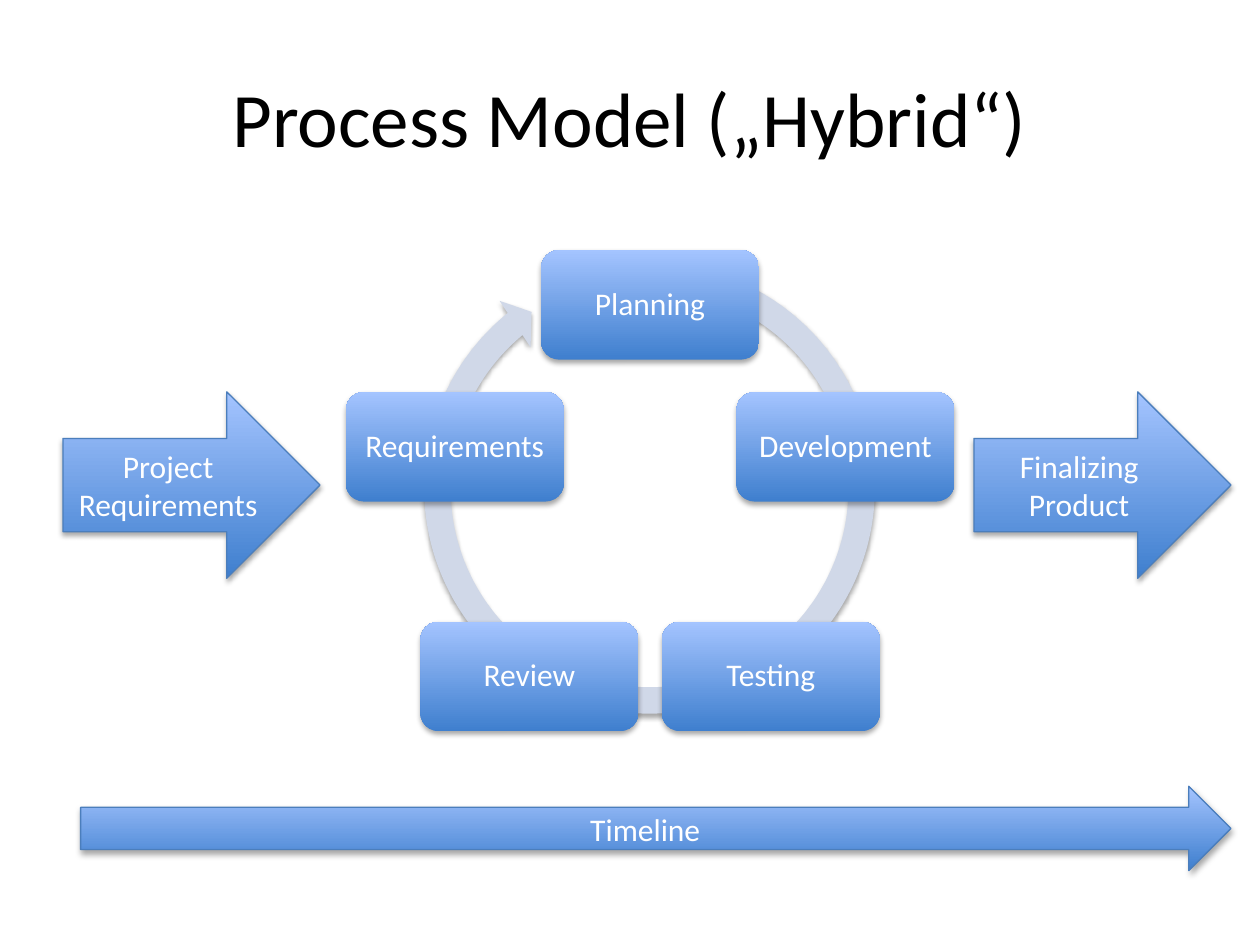
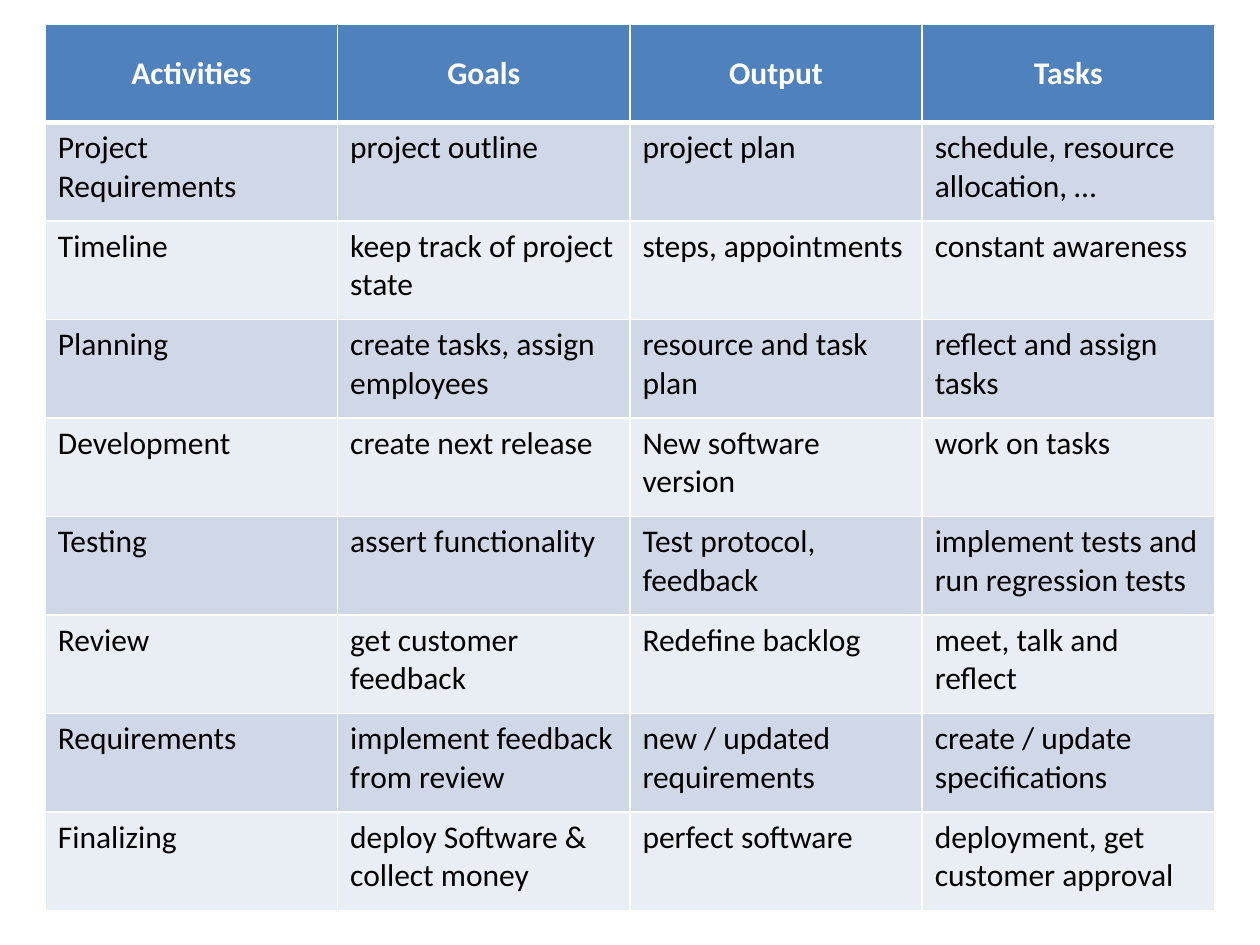
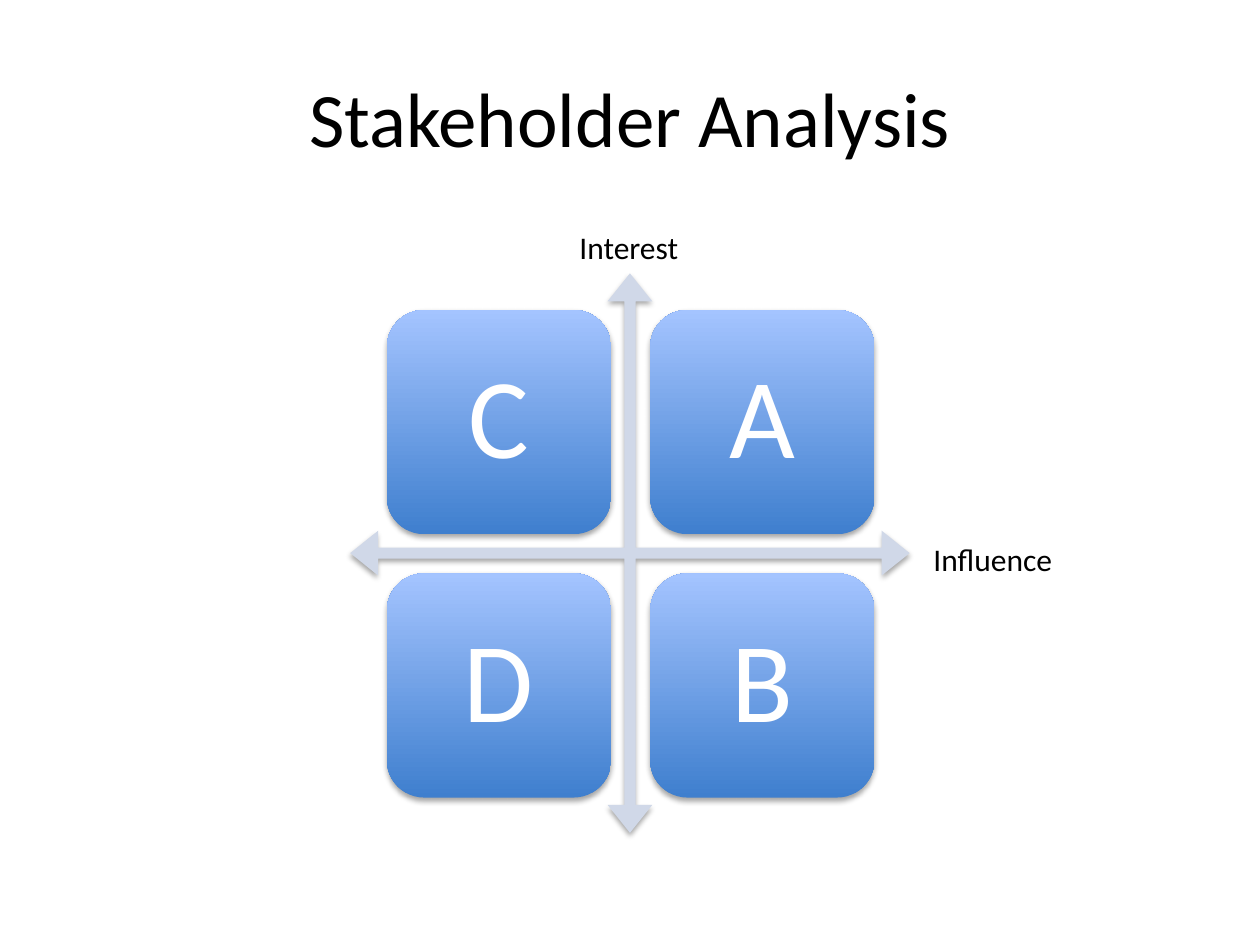
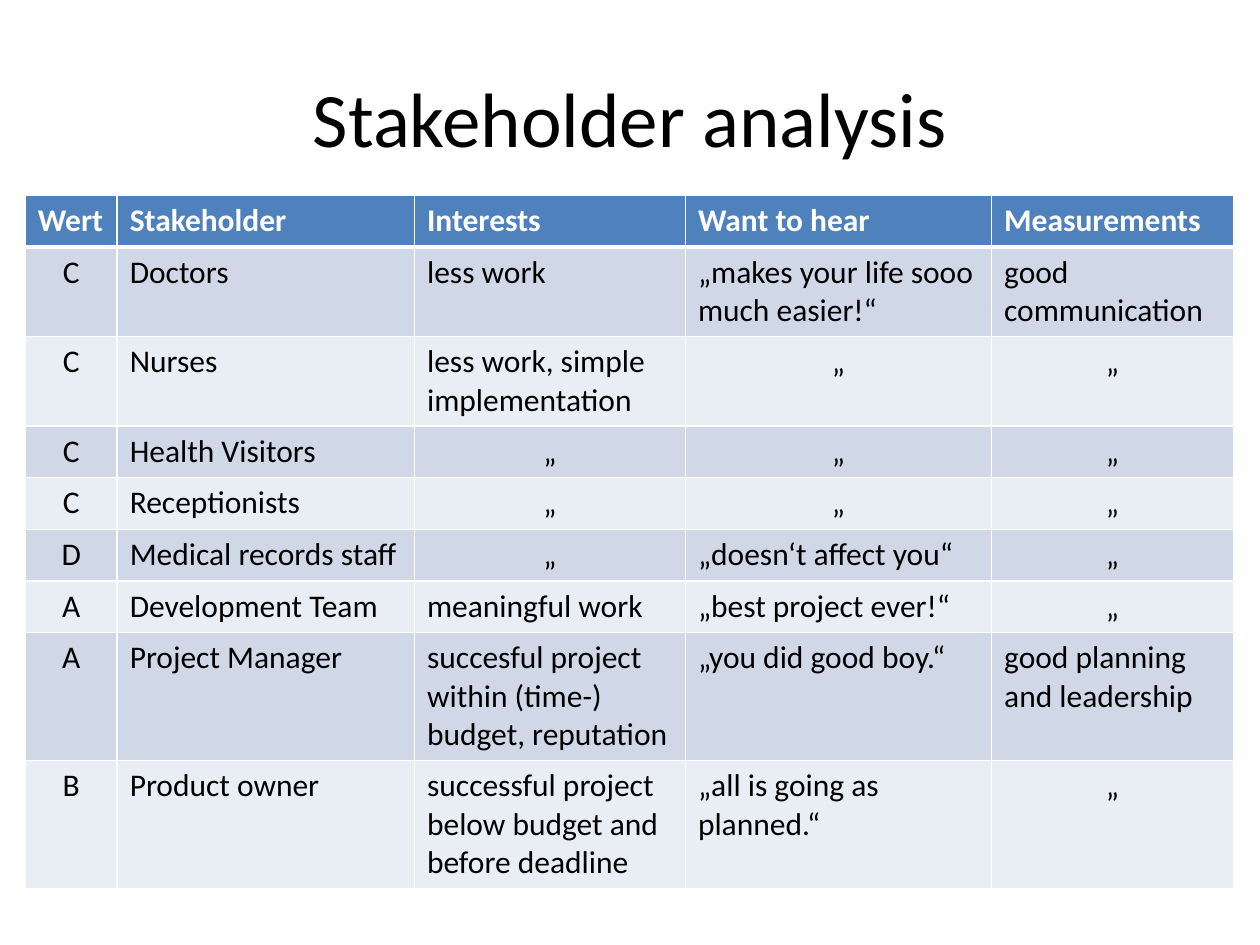
import math

import lxml.etree
import pptx
import pptx.dml.color
import pptx.enum.shapes
import pptx.enum.text
import pptx.oxml
import pptx.oxml.ns
import pptx.util

Inches, Pt = pptx.util.Inches, pptx.util.Pt
RGB = pptx.dml.color.RGBColor.from_string
SHAPE = pptx.enum.shapes.MSO_SHAPE
ALIGN = pptx.enum.text.PP_ALIGN
MIDDLE = pptx.enum.text.MSO_ANCHOR.MIDDLE
TOP = pptx.enum.text.MSO_ANCHOR.TOP
qn = pptx.oxml.ns.qn

THEME = {
    "font": "Calibri",
    "ink": "000000",
    "white": "FFFFFF",
    "outline": "4B7EBC",
    "header": "4F81BD",
    "pale": "D0D8E8",
    "bands": ("D0D8E8", "E9EDF4"),
    "gradient": ("3F7FCE", "A4C4FF"),
    "title_size": 44,
    "letter_size": 65,
    "text_size": 18,
}
SHADOW = (
    f'<a:outerShdw {pptx.oxml.ns.nsdecls("a")} blurRad="{Pt(3.1)}" dist="{Pt(1.8)}" '
    'dir="5400000" rotWithShape="0"><a:srgbClr val="000000"><a:alpha val="35000"/>'
    "</a:srgbClr></a:outerShdw>"
)


def write(frame, text, color, size=THEME["text_size"], bold=False, **paragraph_format):
    frame.text = text
    paragraph = frame.paragraphs[0]
    for name, value in paragraph_format.items():
        setattr(paragraph, name, value)
    font = paragraph.runs[0].font
    for name, value in {"name": THEME["font"], "size": Pt(size), "bold": bold}.items():
        setattr(font, name, value)
    font.color.rgb = RGB(color)


def add_raised(slide, kind, at, fill=None, outline=None, adjustments=()):
    shape = slide.shapes.add_shape(kind, *map(Inches, at))
    for index, value in enumerate(adjustments):
        shape.adjustments[index] = value
    if fill:
        shape.fill.solid()
        shape.fill.fore_color.rgb = RGB(fill)
    else:
        shape.fill.gradient()
        shape.fill.gradient_angle = 90
        for stop, color, position in zip(shape.fill.gradient_stops, THEME["gradient"], (0, 1)):
            stop.color.rgb = RGB(color)
            stop.position = position
    if outline:
        shape.line.color.rgb = RGB(outline)
        shape.line.width = Pt(0.75)
    else:
        shape.line.fill.background()
    shape.shadow.inherit = False
    shape.element.spPr.find(qn("a:effectLst")).append(pptx.oxml.parse_xml(SHADOW))
    shape.text_frame.vertical_anchor = MIDDLE
    shape.text_frame.word_wrap = True
    return shape


deck = pptx.Presentation()
deck.slide_width, deck.slide_height = Inches(10), Inches(7.5)
TITLE_ONLY, BLANK = deck.slide_layouts[5], deck.slide_layouts[6]

slides = []
for heading in ("Process Model („Hybrid“)", None, "Stakeholder Analysis", "Stakeholder analysis"):
    slide = deck.slides.add_slide(TITLE_ONLY if heading else BLANK)
    slides.append(slide)
    if heading:
        title = slide.shapes.title
        place = {"left": 0.5, "top": 0.3, "width": 9, "height": 1.25}
        for name, value in place.items():
            setattr(title, name, Inches(value))
        title.text_frame.vertical_anchor = MIDDLE
        write(title.text_frame, heading, THEME["ink"], THEME["title_size"], alignment=ALIGN.CENTER)
process, activities, matrix, stakeholders = slides

add_raised(
    process, SHAPE.CIRCULAR_ARROW, (3.25, 1.97, 3.81, 3.81), THEME["pale"],
    adjustments=[percent / 100 for percent in (5.5, 330.7, 13842.3, 17345.7, 5.8)],
)
center_x, center_y, radius = 5.16, 4.05, 1.63
phase_width, phase_height = 1.73, 0.87
phases = ("Planning", "Development", "Testing", "Review", "Requirements")
for index, phase_name in enumerate(phases):
    angle = 2 * math.pi * index / len(phases)
    left = center_x + radius * math.sin(angle) - phase_width / 2
    top = center_y - radius * math.cos(angle) - phase_height / 2
    phase = add_raised(process, SHAPE.ROUNDED_RECTANGLE, (left, top, phase_width, phase_height))
    for side in ("left", "top", "right", "bottom"):
        setattr(phase.text_frame, f"margin_{side}", Inches(0.11))
    write(phase.text_frame, phase_name, THEME["white"], alignment=ALIGN.CENTER, line_spacing=0.9)

for stage_name, at in (
    ("Project Requirements", (0.5, 3.11, 2.04, 1.48)),
    ("Timeline", (0.64, 6.24, 9.13, 0.67)),
    ("Finalizing Product", (7.73, 3.11, 2.04, 1.48)),
):
    stage = add_raised(process, SHAPE.RIGHT_ARROW, at, outline=THEME["outline"])
    write(stage.text_frame, stage_name, THEME["white"], alignment=ALIGN.CENTER)

add_raised(
    matrix, SHAPE.QUAD_ARROW, (2.78, 2.17, 4.44, 4.44), THEME["pale"],
    adjustments=(0.02, 0.04, 0.05),
)
quadrant_size, quadrant_pitch = 1.78, 2.09
for index, letter in enumerate("CADB"):
    row, column = divmod(index, 2)
    at = (3.07 + column * quadrant_pitch, 2.46 + row * quadrant_pitch, quadrant_size, quadrant_size)
    quadrant = add_raised(matrix, SHAPE.ROUNDED_RECTANGLE, at)
    for side in ("left", "top", "right", "bottom"):
        setattr(quadrant.text_frame, f"margin_{side}", Inches(0.35))
    write(
        quadrant.text_frame, letter, THEME["white"], THEME["letter_size"],
        alignment=ALIGN.CENTER, line_spacing=0.9,
    )

for axis_name, at in (("Interest", (4.5, 1.76, 1.01, 0.4)), ("Influence", (7.31, 4.24, 1.16, 0.4))):
    axis_label = matrix.shapes.add_textbox(*map(Inches, at)).text_frame
    axis_label.word_wrap = False
    axis_label.auto_size = pptx.enum.text.MSO_AUTO_SIZE.SHAPE_TO_FIT_TEXT
    write(axis_label, axis_name, THEME["ink"])

activity_rows = (
    ("Activities", "Goals", "Output", "Tasks"),
    ("Project Requirements", "project outline", "project plan", "schedule, resource allocation, …"),
    ("Timeline", "keep track of project state", "steps, appointments", "constant awareness"),
    ("Planning", "create tasks, assign employees", "resource and task plan", "reflect and assign tasks"),
    ("Development", "create next release", "New software version", "work on tasks"),
    ("Testing", "assert functionality", "Test protocol, feedback",
     "implement tests and run regression tests"),
    ("Review", "get customer feedback", "Redefine backlog", "meet, talk and reflect"),
    ("Requirements", "implement feedback from review", "new / updated requirements",
     "create / update specifications"),
    ("Finalizing", "deploy Software & collect money", "perfect software",
     "deployment, get customer approval"),
)
DITTO = "„"
stakeholder_rows = (
    ("Wert", "Stakeholder", "Interests", "Want to hear", "Measurements"),
    ("C", "Doctors", "less work", "„makes your life sooo much easier!“", "good communication"),
    ("C", "Nurses", "less work, simple implementation", DITTO, DITTO),
    ("C", "Health Visitors", DITTO, DITTO, DITTO),
    ("C", "Receptionists", DITTO, DITTO, DITTO),
    ("D", "Medical records staff", DITTO, "„doesn‘t affect you“", DITTO),
    ("A", "Development Team", "meaningful work", "„best project ever!“", DITTO),
    ("A", "Project Manager", "succesful project within (time-) budget, reputation",
     "„you did good boy.“", "good planning and leadership"),
    ("B", "Product owner", "successful project below budget and before deadline",
     "„all is going as planned.“", DITTO),
)

for slide, rows, at, widths, header_align, header_anchor in (
    (activities, activity_rows, (0.36, 0.19, 9.28, 7.04), [2.32] * 4, ALIGN.CENTER, MIDDLE),
    (stakeholders, stakeholder_rows, (0.2, 1.55, 9.59, 3.69), [0.73, 2.36, 2.15, 2.43, 1.92],
     ALIGN.LEFT, TOP),
):
    grid = slide.shapes.add_table(len(rows), len(widths), *map(Inches, at)).table
    for column, width in zip(grid.columns, widths):
        column.width = Inches(width)
    for row_index, row in enumerate(rows):
        is_header = row_index == 0
        for column_index, text in enumerate(row):
            cell = grid.cell(row_index, column_index)
            properties = cell._tc.get_or_add_tcPr()
            for side in "LRTB":
                thick = (side == "B" and is_header) or (side == "T" and row_index == 1)
                border = lxml.etree.SubElement(properties, qn(f"a:ln{side}"), w=str(Pt(3 if thick else 1)))
                paint = lxml.etree.SubElement(border, qn("a:solidFill"))
                lxml.etree.SubElement(paint, qn("a:srgbClr"), val=THEME["white"])
            cell.fill.solid()
            cell.fill.fore_color.rgb = RGB(
                THEME["header"] if is_header else THEME["bands"][(row_index - 1) % 2]
            )
            cell.vertical_anchor = header_anchor if is_header else TOP
            if is_header:
                align = header_align
            else:
                align = ALIGN.CENTER if len(text) == 1 else ALIGN.LEFT
            write(
                cell.text_frame, text, THEME["white" if is_header else "ink"],
                bold=is_header, alignment=align,
            )

deck.save("out.pptx")
